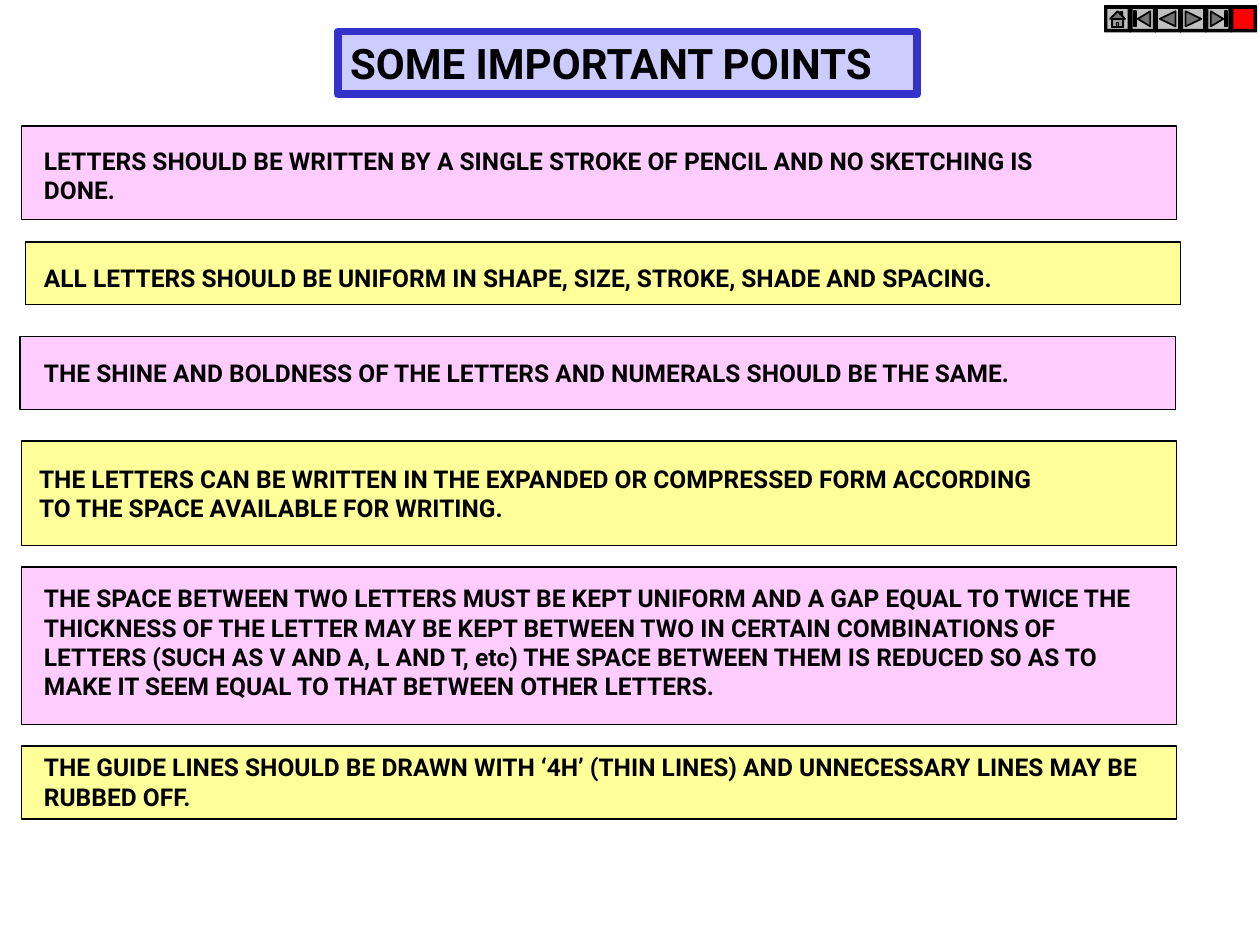
import copy
from dataclasses import dataclass

import pptx
import pptx.dml.color
import pptx.enum.shapes
import pptx.enum.text
import pptx.oxml.ns
import pptx.util

Inches = pptx.util.Inches
Pt = pptx.util.Pt


@dataclass(frozen=True)
class Theme:
    font: str = "Roboto"
    title_size: int = 24
    body_size: int = 14
    ink: str = "000000"
    title_fill: str = "CCCCFF"
    title_line: str = "3333CC"
    pink: str = "FFCCFF"
    yellow: str = "FFFF99"
    button: str = "C0C0C0"
    exit_button: str = "FF0000"


THEME = Theme()

POINTS = [
    ((0.17, 1, 9.17, 0.74), (0.25, 1.11, 9.08, 0.57), 1,
     "LETTERS SHOULD BE WRITTEN BY A SINGLE STROKE OF PENCIL AND NO SKETCHING IS\nDONE."),
    ((0.2, 1.92, 9.17, 0.5), (0.25, 1.92, 9, 0.45), 1.5,
     "ALL LETTERS SHOULD BE UNIFORM IN SHAPE, SIZE, STROKE, SHADE AND SPACING."),
    ((0.16, 2.67, 9.17, 0.58), (0.25, 2.79, 9, 0.34), 1,
     "THE SHINE AND BOLDNESS OF THE LETTERS AND NUMERALS SHOULD BE THE SAME."),
    ((0.17, 3.5, 9.17, 0.83), None, 1,
     "THE LETTERS CAN BE WRITTEN IN THE EXPANDED OR COMPRESSED FORM ACCORDING\n"
     "TO THE SPACE AVAILABLE FOR WRITING."),
    ((0.17, 4.5, 9.17, 1.25), (0.25, 4.58, 9.08, 1.04), 1,
     "THE SPACE BETWEEN TWO LETTERS MUST BE KEPT UNIFORM AND A GAP EQUAL TO TWICE THE "
     "THICKNESS OF THE LETTER MAY BE KEPT BETWEEN TWO IN CERTAIN COMBINATIONS OF "
     "LETTERS (SUCH AS V AND A, L AND T, etc) THE SPACE BETWEEN THEM IS REDUCED SO AS TO "
     "MAKE IT SEEM EQUAL TO THAT BETWEEN OTHER LETTERS."),
    ((0.17, 5.92, 9.17, 0.58), (0.25, 5.92, 8.92, 0.57), 1,
     "THE GUIDE LINES SHOULD BE DRAWN WITH ‘4H’ (THIN LINES) AND UNNECESSARY LINES MAY BE "
     "RUBBED OFF."),
]

BUTTON_UNITS = 200
BUTTON_FRAME = [
    ("norm", [(0, 0), (200, 0), (200, 200), (0, 200)]),
    ("lightenLess", [(0, 0), (200, 0), (187, 13), (13, 13)]),
    ("darken", [(200, 0), (200, 200), (187, 187), (187, 13)]),
    ("darkenLess", [(200, 200), (0, 200), (13, 187), (187, 187)]),
    ("lighten", [(0, 200), (0, 0), (13, 13), (13, 187)]),
]
HOME = [
    ("darken", [(100, 40), (123, 62), (123, 45), (138, 45), (138, 78), (160, 100),
                (145, 100), (145, 165), (55, 165), (55, 100), (40, 100)]),
    ("darkenLess", [(123, 62), (123, 45), (138, 45), (138, 78)]),
    ("darkenLess", [(92, 130), (108, 130), (108, 165), (145, 165), (145, 100),
                    (55, 100), (55, 165), (92, 165)]),
]
FIRST = [
    ("darken", [(60, 100), (160, 40), (160, 160)]),
    ("darken", [(30, 40), (45, 40), (45, 160), (30, 160)]),
]
PREVIOUS = [("darken", [(35, 100), (160, 40), (160, 160)])]


def mirrored(icon):
    return [(shade, [(BUTTON_UNITS - x, y) for x, y in points]) for shade, points in icon]


def color(value):
    return pptx.dml.color.RGBColor.from_string(value)


def paint(shape, fill, line, line_width):
    shape.shadow.inherit = False
    shape.fill.solid()
    shape.fill.fore_color.rgb = color(fill)
    shape.line.color.rgb = color(line)
    shape.line.width = Pt(line_width)


def add_box(slide, place, fill, line=THEME.ink, line_width=0.75):
    rectangle = pptx.enum.shapes.MSO_SHAPE.RECTANGLE
    shape = slide.shapes.add_shape(rectangle, *map(Inches, place))
    paint(shape, fill, line, line_width)
    return shape


def write_text(shape, text, size, anchor=pptx.enum.text.MSO_ANCHOR.TOP, spacing=1):
    frame = shape.text_frame
    frame.word_wrap = True
    frame.vertical_anchor = anchor
    frame.text = text
    for paragraph in frame.paragraphs:
        paragraph.alignment = pptx.enum.text.PP_ALIGN.LEFT
        paragraph.line_spacing = spacing
        for run in paragraph.runs:
            run.font.name = THEME.font
            run.font.size = Pt(size)
            run.font.bold = True
            run.font.color.rgb = color(THEME.ink)


def add_point(slide, place, text_place, spacing, text, fill):
    box = add_box(slide, place, fill)
    if text_place:
        text_box = slide.shapes.add_textbox(*map(Inches, text_place))
        write_text(text_box, text, THEME.body_size, spacing=spacing)
    else:
        box.text_frame.margin_left = Inches(0.14)
        write_text(box, text, THEME.body_size, pptx.enum.text.MSO_ANCHOR.MIDDLE, spacing)


def shade_contours(shape, shades):
    qn = pptx.oxml.ns.qn
    path_list = next(shape._element.iter(qn("a:pathLst")))
    combined = path_list[0]
    commands = list(combined)
    starts = [i for i, command in enumerate(commands) if command.tag == qn("a:moveTo")]
    path_list.remove(combined)
    for shade, start, end in zip(shades, starts, starts[1:] + [len(commands)]):
        contour = copy.deepcopy(combined)
        for command in list(contour):
            contour.remove(command)
        contour.extend(copy.deepcopy(commands[start:end]))
        contour.set("fill", shade)
        path_list.append(contour)


def add_button(group, left, top, size, icon, fill):
    contours = BUTTON_FRAME + icon
    builder = group.shapes.build_freeform(0, 0, scale=Inches(size) / BUTTON_UNITS)
    for index, (shade, points) in enumerate(contours):
        if index:
            builder.move_to(*points[0])
        builder.add_line_segments(points[1:], close=True)
    shape = builder.convert_to_shape(Inches(left), Inches(top))
    paint(shape, fill, THEME.ink, 1)
    shade_contours(shape, [shade for shade, points in contours])


def add_navigation(slide, left=8.77, top=0.05, size=0.2):
    group = slide.shapes.add_group_shape()
    icons = [HOME, FIRST, PREVIOUS, mirrored(PREVIOUS), mirrored(FIRST), []]
    for index, icon in enumerate(icons):
        fill = THEME.button if icon else THEME.exit_button
        add_button(group, left + index * size, top, size, icon, fill)


def main():
    presentation = pptx.Presentation()
    presentation.slide_width = Inches(10)
    presentation.slide_height = Inches(7.5)
    slide = presentation.slides.add_slide(presentation.slide_layouts[6])
    title = add_box(slide, (2.68, 0.25, 4.6, 0.5), THEME.title_fill, THEME.title_line, 4.5)
    write_text(title, "SOME IMPORTANT POINTS", THEME.title_size)
    add_navigation(slide)
    for index, point in enumerate(POINTS):
        add_point(slide, *point, THEME.yellow if index % 2 else THEME.pink)
    presentation.save("out.pptx")


if __name__ == "__main__":
    main()
